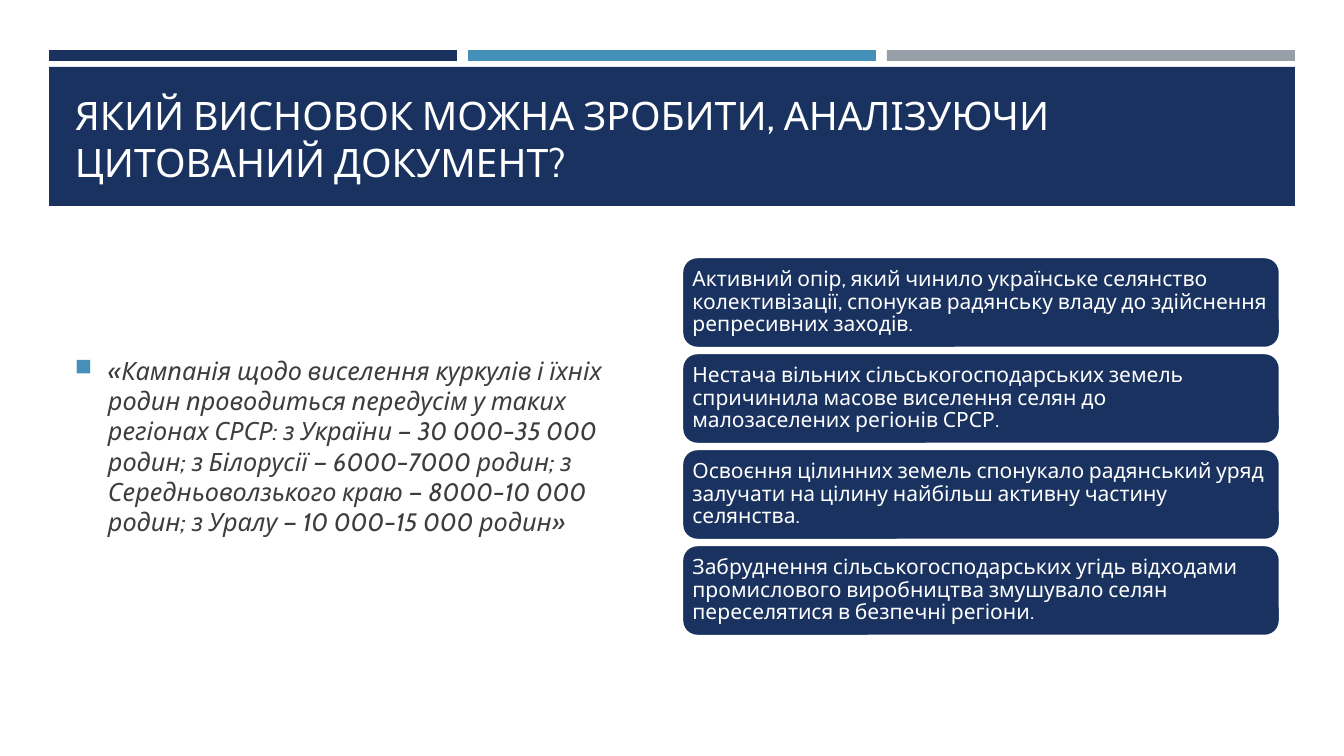
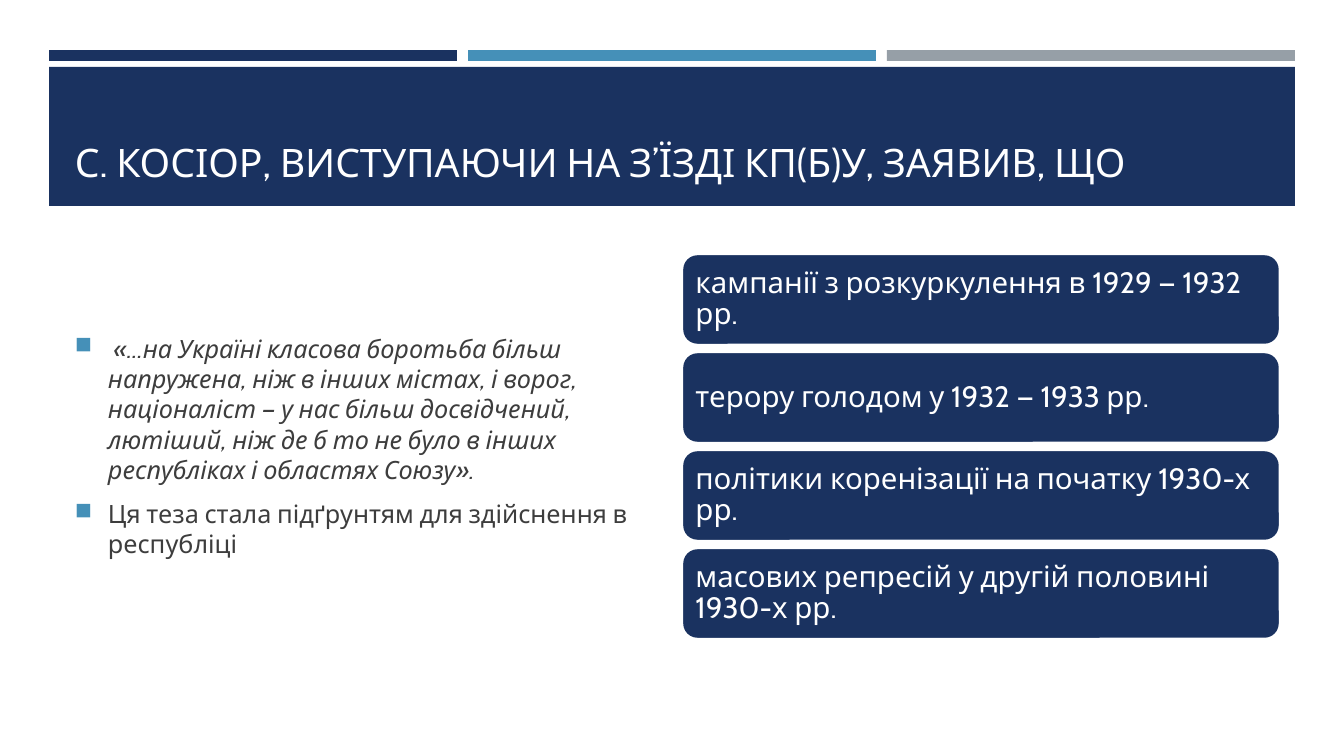
from lxml.etree import SubElement
from pptx import Presentation
from pptx.dml.color import RGBColor
from pptx.enum.shapes import MSO_SHAPE
from pptx.enum.text import MSO_ANCHOR, PP_ALIGN
from pptx.oxml.ns import qn
from pptx.util import Pt

SCALE = 914400 / 100.8
WIDE, HIGH = 1344, 756

NAVY = RGBColor(0x1A, 0x32, 0x60)
BLUE = RGBColor(0x45, 0x90, 0xB8)
GREY = RGBColor(0x96, 0x9F, 0xA7)
INK = RGBColor(0x3D, 0x3D, 0x3D)
WHITE = RGBColor(0xFF, 0xFF, 0xFF)

FACE = "Cabin"
EDGE, MID, SPAN = 49, 446, 598
INDENT = 33


def px(size):
    return round(size * SCALE)


def assign(item, values):
    for name, value in values.items():
        setattr(item, name, value)


class Deck:
    def __init__(self):
        self.file = Presentation()
        assign(self.file, {"slide_width": px(WIDE), "slide_height": px(HIGH)})
        self.slide = None

    def start(self, title):
        """Add a slide with its three bars, title band and title."""
        self.slide = self.file.slides.add_slide(self.file.slide_layouts[6])
        for i, color in enumerate((NAVY, BLUE, GREY)):
            self.shape((EDGE + 419 * i, 50, 408, 11), color)
        self.shape((EDGE, 67, 1246, 139), NAVY)
        frame = self.frame((65, 81, 1216, 109), MSO_ANCHOR.BOTTOM)
        self.run(frame.paragraphs[0], title, 28, WHITE)

    def shape(self, box, color, kind=MSO_SHAPE.RECTANGLE):
        shape = self.slide.shapes.add_shape(kind, *map(px, box))
        shape.shadow.inherit = False
        shape.fill.solid()
        shape.fill.fore_color.rgb = color
        shape.line.fill.background()
        return shape

    def frame(self, box, anchor):
        frame = self.slide.shapes.add_textbox(*map(px, box)).text_frame
        assign(frame, {"word_wrap": True, "vertical_anchor": anchor})
        return frame

    def run(self, para, text, size, color, italic=False):
        run = para.add_run()
        run.text = text
        assign(run.font, {"name": FACE, "size": Pt(size), "italic": italic})
        run.font.color.rgb = color

    def bullet(self, para):
        props = para._p.get_or_add_pPr()
        props.set("marL", str(px(INDENT)))
        props.set("indent", str(-px(INDENT)))
        tint = SubElement(props, qn("a:buClr"))
        SubElement(tint, qn("a:srgbClr"), val=str(BLUE))
        SubElement(props, qn("a:buSzPct"), val="92000")
        SubElement(props, qn("a:buChar"), char="■")

    def body(self, items):
        """Write bullets from (text, italic) pairs."""
        frame = self.frame((65, 246, SPAN, 400), MSO_ANCHOR.MIDDLE)
        for i, (text, italic) in enumerate(items):
            para = frame.add_paragraph() if i else frame.paragraphs[0]
            self.bullet(para)
            assign(para, {"space_before": Pt(4 if i else 0),
                          "space_after": Pt(6)})
            self.run(para, text, 18, INK, italic)

    def cards(self, texts, size, gap, inset, high=91):
        """Stack equal cards around the middle of the body."""
        step = high + gap
        top = MID - (len(texts) * step - gap) // 2
        for i, text in enumerate(texts):
            card = self.shape((682, top + i * step, SPAN, high), NAVY,
                              MSO_SHAPE.ROUNDED_RECTANGLE)
            card.line.color.rgb = WHITE
            card.line.width = Pt(1.75)
            frame = card.text_frame
            assign(frame, {"word_wrap": True,
                           "vertical_anchor": MSO_ANCHOR.MIDDLE})
            assign(frame, {f"margin_{side}": px(inset) for side in
                           ("left", "right", "top", "bottom")})
            para = frame.paragraphs[0]
            assign(para, {"alignment": PP_ALIGN.LEFT, "line_spacing": 0.9})
            self.run(para, text, size, WHITE)


def main():
    deck = Deck()

    deck.start("ЯКИЙ ВИСНОВОК МОЖНА ЗРОБИТИ, АНАЛІЗУЮЧИ ЦИТОВАНИЙ ДОКУМЕНТ?")
    deck.body([
        ("«Кампанія щодо виселення куркулів і їхніх родин проводиться "
         "передусім у таких регіонах СРСР: з України — 30 000–35 000 родин; "
         "з Білорусії — 6000–7000 родин; з Середньоволзького краю — "
         "8000–10 000 родин; з Уралу — 10 000–15 000 родин»", True),
    ])
    deck.cards([
        "Активний опір, який чинило українське селянство колективізації, "
        "спонукав радянську владу до здійснення репресивних заходів.",
        "Нестача вільних сільськогосподарських земель спричинила масове "
        "виселення селян до малозаселених регіонів СРСР.",
        "Освоєння цілинних земель спонукало радянський уряд залучати на "
        "цілину найбільш активну частину селянства.",
        "Забруднення сільськогосподарських угідь відходами промислового "
        "виробництва змушувало селян переселятися в безпечні регіони.",
    ], size=15, gap=5, inset=6)

    deck.start("С. КОСІОР, ВИСТУПАЮЧИ НА З’ЇЗДІ КП(Б)У, ЗАЯВИВ, ЩО")
    deck.body([
        (" «...на Україні класова боротьба більш напружена, ніж в інших "
         "містах, і ворог, націоналіст — у нас більш досвідчений, лютіший, "
         "ніж де б то не було в інших республіках і областях Союзу».", True),
        ("Ця теза стала підґрунтям для здійснення в республіці", False),
    ])
    deck.cards([
        "кампанії з розкуркулення в 1929 — 1932 рр.",
        "терору голодом у 1932 — 1933 рр.",
        "політики коренізації на початку 1930-х рр.",
        "масових репресій у другій половині 1930-х рр.",
    ], size=21, gap=7, inset=9)

    deck.file.save("out.pptx")


if __name__ == "__main__":
    main()
